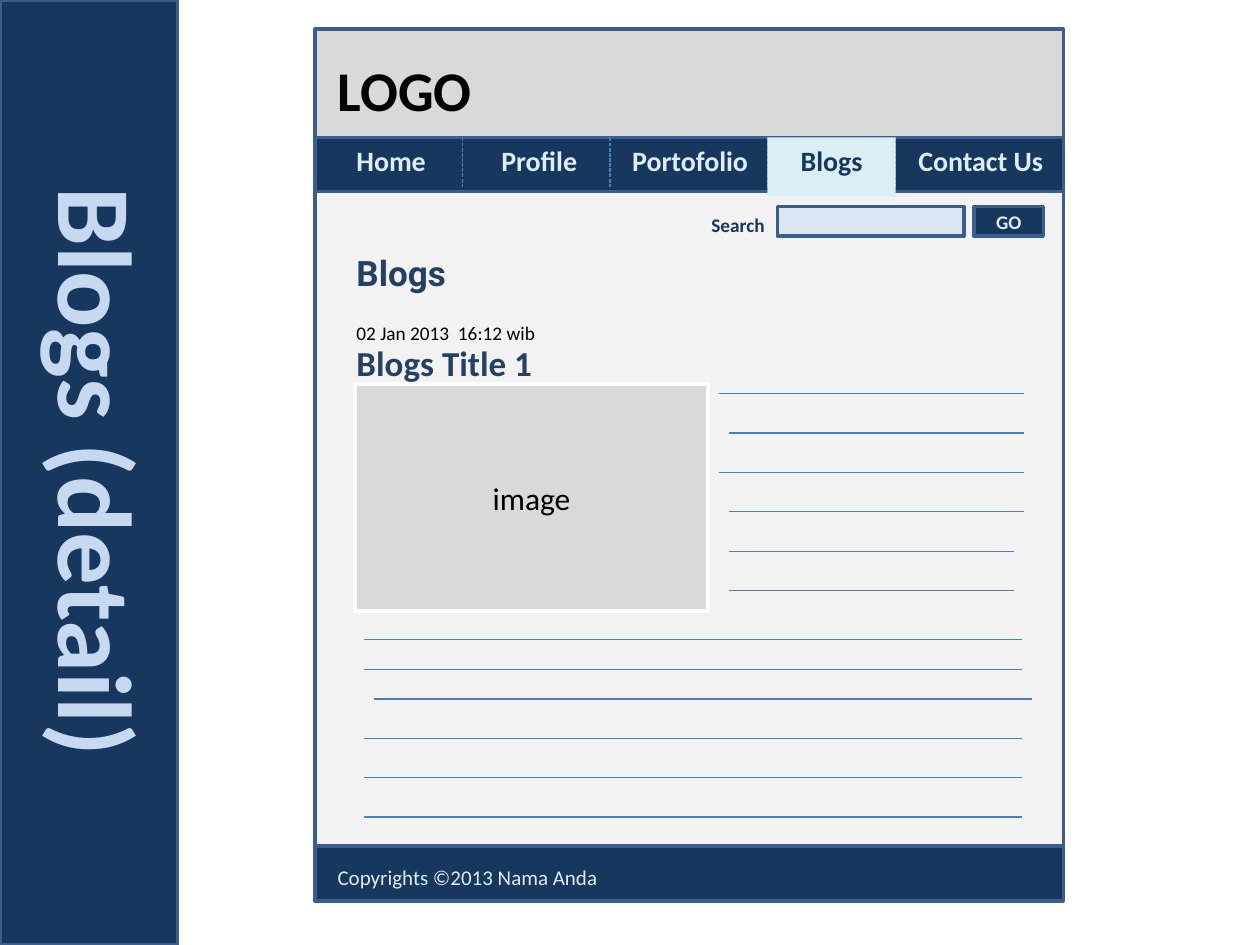
from dataclasses import dataclass
from typing import Optional

from lxml import etree
from pptx import Presentation
from pptx.dml.color import RGBColor
from pptx.enum.dml import MSO_LINE
from pptx.enum.shapes import MSO_CONNECTOR, MSO_SHAPE
from pptx.enum.text import MSO_ANCHOR, MSO_AUTO_SIZE, PP_ALIGN
from pptx.oxml.ns import qn
from pptx.util import Pt

RECTANGLE = MSO_SHAPE.RECTANGLE
STRAIGHT = MSO_CONNECTOR.STRAIGHT
DASHED = MSO_LINE.SQUARE_DOT
LEFT, CENTER = PP_ALIGN.LEFT, PP_ALIGN.CENTER
TOP, MIDDLE = MSO_ANCHOR.TOP, MSO_ANCHOR.MIDDLE
FIT_SHAPE = MSO_AUTO_SIZE.SHAPE_TO_FIT_TEXT


@dataclass(frozen=True)
class Theme:
    navy: str = "17375E"
    heading: str = "254061"
    border: str = "3A5F8C"
    rule: str = "4B7EBC"
    pale: str = "DBEEF4"
    banner: str = "C6D9F1"
    field: str = "DCE6F2"
    gray: str = "D9D9D9"
    paper: str = "F2F2F2"
    white: str = "FFFFFF"
    black: str = "000000"
    font: str = "Calibri"
    heading_font: str = "Roboto"
    banner_size: float = 60
    logo_size: float = 32
    heading_size: float = 20
    image_size: float = 18
    menu_size: float = 16
    footer_size: float = 12
    small_size: float = 11
    border_width: float = 2
    rule_width: float = 0.75


THEME = Theme()


@dataclass(frozen=True)
class Area:
    left: float
    top: float
    width: float
    height: float

    def lengths(self) -> tuple:
        return Pt(self.left), Pt(self.top), Pt(self.width), Pt(self.height)


@dataclass(frozen=True)
class Label:
    text: str
    size: float
    color: str
    bold: bool = True
    font: str = THEME.font
    align: PP_ALIGN = LEFT


@dataclass(frozen=True)
class Panel:
    area: Area
    fill: str
    line: Optional[str] = THEME.border
    label: Optional[Label] = None


@dataclass(frozen=True)
class Caption:
    area: Area
    label: Label
    rotation: float = 0


@dataclass(frozen=True)
class Rule:
    left: float
    right: float
    top: float


def write_label(box, label: Label, anchor: MSO_ANCHOR) -> None:
    frame = box.text_frame
    frame.word_wrap = True
    frame.vertical_anchor = anchor
    para = frame.paragraphs[0]
    para.alignment = label.align
    span = para.add_run()
    span.text = label.text
    span.font.name = label.font
    span.font.size = Pt(label.size)
    span.font.bold = label.bold
    span.font.color.rgb = RGBColor.from_string(label.color)


def draw_panel(page, panel: Panel) -> None:
    box = page.shapes.add_shape(RECTANGLE, *panel.area.lengths())
    box.shadow.inherit = False
    box.fill.solid()
    box.fill.fore_color.rgb = RGBColor.from_string(panel.fill)
    if panel.line:
        box.line.color.rgb = RGBColor.from_string(panel.line)
        box.line.width = Pt(THEME.border_width)
    else:
        box.line.fill.background()
    if panel.label:
        write_label(box, panel.label, MIDDLE)


def draw_caption(page, caption: Caption) -> None:
    box = page.shapes.add_textbox(*caption.area.lengths())
    box.rotation = caption.rotation
    write_label(box, caption.label, TOP)
    box.text_frame.auto_size = FIT_SHAPE


def draw_line(page, start: tuple, end: tuple, dashed: bool = False) -> None:
    line = page.shapes.add_connector(STRAIGHT, *map(Pt, start + end))
    line.line.color.rgb = RGBColor.from_string(THEME.rule)
    line.line.width = Pt(THEME.rule_width)
    if dashed:
        line.line.dash_style = DASHED
    etree.SubElement(line._element.spPr, qn("a:effectLst"))


def draw_banner(page) -> None:
    draw_panel(page, Panel(Area(0, 0, 101.5, 540), THEME.navy))
    title = Label("Blogs (detail)", THEME.banner_size, THEME.banner, align=CENTER)
    draw_caption(page, Caption(Area(-213.1, 229.7, 540, 80), title, 90))


def draw_frame(page) -> None:
    left, width = 180, 427.7
    bands = [(16.6, 62.4, THEME.gray), (106.6, 376.6, THEME.paper),
             (483.8, 31, THEME.navy), (78.5, 31, THEME.navy)]
    for top, height, fill in bands:
        draw_panel(page, Panel(Area(left, top, width, height), fill))
    logo = Label("LOGO", THEME.logo_size, THEME.black)
    notice = Label("Copyrights ©2013 Nama Anda", THEME.footer_size, THEME.pale, bold=False)
    draw_caption(page, Caption(Area(185.8, 28.1, 92.2, 46), logo))
    draw_caption(page, Caption(Area(185.8, 490.3, 174.2, 21.8), notice))


def draw_menu(page) -> None:
    top, height = 78.5, 26.6
    items = [("Home", 196.6, 59), ("Profile", 279.4, 64),
             ("Portofolio", 354.2, 86), ("Contact Us", 517.7, 92)]
    for text, left, width in items:
        label = Label(text, THEME.menu_size, THEME.pale)
        draw_caption(page, Caption(Area(left, top, width, height), label))
    for x in (264.2, 348.5, 438.5, 511.9):
        draw_line(page, (x, top), (x, 106.6), dashed=True)
    draw_panel(page, Panel(Area(438.5, top, 73.4, 33.8), THEME.pale, line=None))
    active = Label("Blogs", THEME.menu_size, THEME.navy, align=CENTER)
    draw_caption(page, Caption(Area(438.5, top, 73.4, height), active))


def draw_search(page) -> None:
    top, height = 118.1, 16.9
    search = Label("Search", THEME.small_size, THEME.navy)
    go = Label("GO", THEME.small_size, THEME.pale, align=CENTER)
    draw_panel(page, Panel(Area(444.2, top, 106.6, height), THEME.field))
    draw_caption(page, Caption(Area(399.4, top, 49, 20.6), search))
    draw_panel(page, Panel(Area(556.6, top, 39.6, height), THEME.navy, label=go))


def draw_article(page) -> None:
    left = 196.6
    section = Label("Blogs", THEME.heading_size, THEME.heading, font=THEME.heading_font)
    title = Label("Blogs Title 1", THEME.heading_size, THEME.heading)
    date = Label("02 Jan 2013  16:12 wib", THEME.small_size, THEME.black, bold=False)
    image = Label("image", THEME.image_size, THEME.black, bold=False, align=CENTER)
    draw_caption(page, Caption(Area(left, 140.4, 80, 31.5), section))
    draw_panel(page, Panel(Area(203, 219.6, 201.6, 129.6), THEME.gray, THEME.white, image))
    draw_caption(page, Caption(Area(left, 191.3, 135, 31.5), title))
    draw_caption(page, Caption(Area(left, 180, 131.8, 20.6), date))

    pitch, first = 22.5, 225
    spans = [(410.6, 585), (416.3, 585), (410.6, 585),
             (416.3, 585), (416.3, 579.4), (416.3, 579.4)]
    rules = [Rule(start, end, first + row * pitch) for row, (start, end) in enumerate(spans)]
    rules += [Rule(208.1, 583.9, top) for top in (365.6, 382.5, 421.9, 444.4, 466.9)]
    rules.append(Rule(213.8, 589.7, 399.4))
    for rule in rules:
        draw_line(page, (rule.left, rule.top), (rule.right, rule.top))


def main() -> None:
    deck = Presentation()
    deck.slide_width, deck.slide_height = Pt(720), Pt(540)
    page = deck.slides.add_slide(deck.slide_layouts[6])
    for draw in (draw_banner, draw_frame, draw_menu, draw_search, draw_article):
        draw(page)
    deck.save("out.pptx")


if __name__ == "__main__":
    main()
